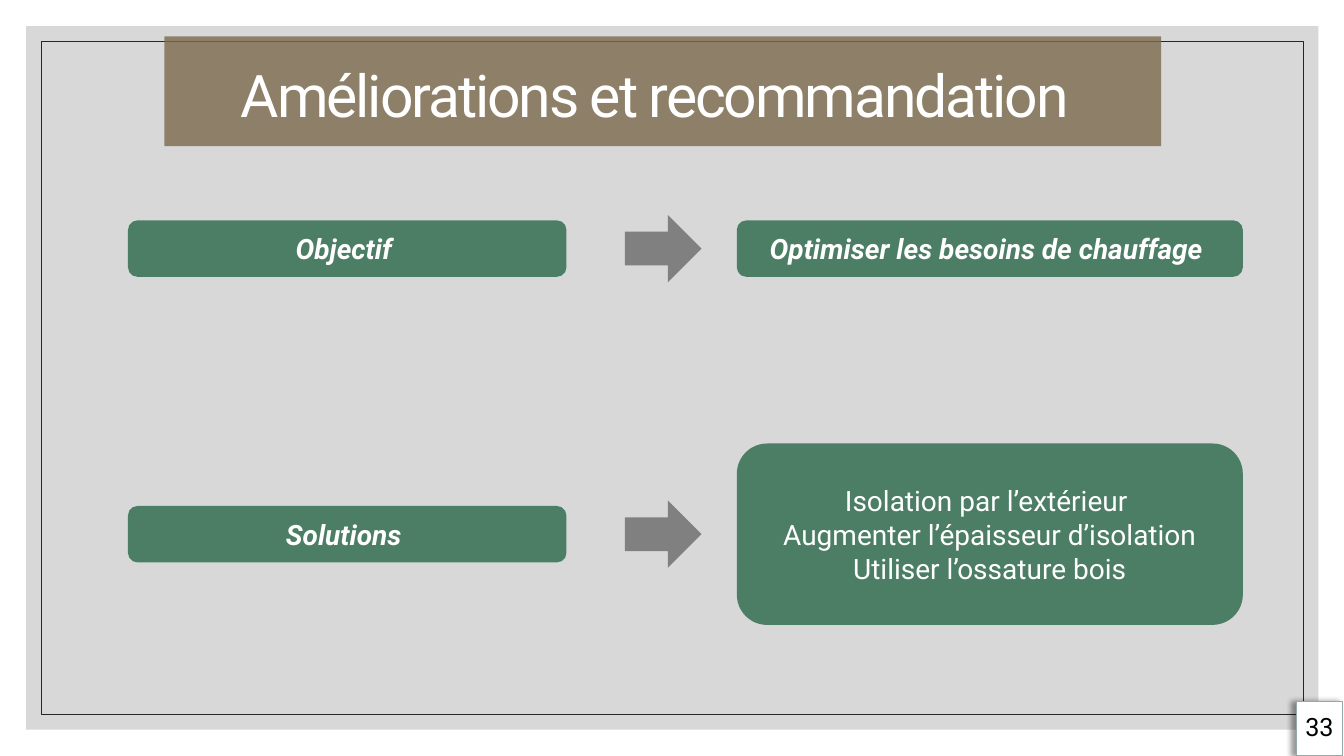
import pptx
import pptx.util
import pptx.dml.color
import pptx.enum.shapes
import pptx.enum.text
import pptx.oxml
import pptx.oxml.ns

RGBColor = pptx.dml.color.RGBColor
SHAPE = pptx.enum.shapes.MSO_SHAPE
ANCHOR = pptx.enum.text.MSO_ANCHOR
ALIGN = pptx.enum.text.PP_ALIGN
Pt = pptx.util.Pt

WHITE = RGBColor(0xFF, 0xFF, 0xFF)
BLACK = RGBColor(0x00, 0x00, 0x00)
PANEL_GREY = RGBColor(0xBF, 0xBF, 0xBF)
FRAME_GREY = RGBColor(0x26, 0x26, 0x26)
ARROW_GREY = RGBColor(0x80, 0x80, 0x80)
BROWN = RGBColor(0x7C, 0x6B, 0x4D)
GREEN = RGBColor(0x4C, 0x7E, 0x65)
BADGE_EDGE = RGBColor(0x96, 0xA9, 0xA9)

COLUMNS, ROWS = 80, 45


class Deck:
    """Holds the style and the current slide; lengths are grid columns and rows."""

    font_name = "Roboto"

    def __init__(self):
        self.presentation = pptx.Presentation()
        self.presentation.slide_width = pptx.util.Inches(13.33)
        self.presentation.slide_height = pptx.util.Inches(7.5)
        self.slide = self.presentation.slides.add_slide(
            self.presentation.slide_layouts[5])

    def box(self, left, top, width, height):
        column = self.presentation.slide_width / COLUMNS
        row = self.presentation.slide_height / ROWS
        return (round(left * column), round(top * row),
                round(width * column), round(height * row))

    def paint(self, shape, fill=None, opacity=100, line=None, weight=1):
        if fill is None:
            shape.fill.background()
        else:
            shape.fill.solid()
            shape.fill.fore_color.rgb = fill
            if opacity < 100:
                colour = shape._element.spPr.find(".//" + pptx.oxml.ns.qn("a:srgbClr"))
                colour.append(pptx.oxml.parse_xml(
                    f'<a:alpha {pptx.oxml.ns.nsdecls("a")} val="{opacity * 1000}"/>'))
        if line is None:
            shape.line.fill.background()
        else:
            shape.line.color.rgb = line
            shape.line.width = Pt(weight)

    def shape(self, kind, place, **paint):
        drawn = self.slide.shapes.add_shape(kind, *self.box(*place))
        drawn.shadow.inherit = False
        self.paint(drawn, **paint)
        return drawn

    def letter(self, shape, lines, size=20, color=WHITE, bold=False, italic=False,
               frame=None, spacing=None):
        text = shape.text_frame
        text.text = "\n".join(lines)
        frame_format = {"word_wrap": True, "vertical_anchor": ANCHOR.MIDDLE,
                        "auto_size": pptx.enum.text.MSO_AUTO_SIZE.NONE, **(frame or {})}
        for name, value in frame_format.items():
            setattr(text, name, value)
        font_format = {"name": self.font_name, "size": Pt(size),
                       "bold": bold, "italic": italic}
        for paragraph in text.paragraphs:
            for name, value in {"alignment": ALIGN.CENTER, **(spacing or {})}.items():
                setattr(paragraph, name, value)
            for run in paragraph.runs:
                for name, value in font_format.items():
                    setattr(run.font, name, value)
                run.font.color.rgb = color

    def title(self, wording, place):
        heading = self.slide.shapes.title
        heading.left, heading.top, heading.width, heading.height = self.box(*place)
        self.paint(heading, fill=BROWN, opacity=80)
        inch = pptx.util.Inches
        self.letter(heading, [wording], size=42, spacing={"line_spacing": 0.9},
                    frame={"vertical_anchor": ANCHOR.BOTTOM,
                           "margin_left": inch(0.31), "margin_top": inch(0.05),
                           "margin_right": inch(0.47), "margin_bottom": inch(0.16)})
        heading.text_frame.paragraphs[0].runs[0].font._element.set("spc", "-150")
        # Bring the title in front of the background panel
        self.slide.shapes._spTree.append(heading._element)

    def card(self, lines, left, middle, width, height, **style):
        place = (left, middle - height / 2, width, height)
        self.letter(self.shape(SHAPE.ROUNDED_RECTANGLE, place, fill=GREEN), lines, **style)

    def arrow(self, left, middle, width, height):
        self.shape(SHAPE.RIGHT_ARROW, (left, middle - height / 2, width, height),
                   fill=ARROW_GREY)

    def page_number(self, number, place):
        badge = self.shape(SHAPE.RECTANGLE, place, fill=WHITE, line=BADGE_EDGE)
        effects = badge._element.spPr.find(pptx.oxml.ns.qn("a:effectLst"))
        effects.append(pptx.oxml.parse_xml(
            f'<a:outerShdw {pptx.oxml.ns.nsdecls("a")} blurRad="{Pt(4)}" dist="{Pt(3)}" '
            f'dir="{180 * 60000}" algn="ctr" rotWithShape="0"><a:srgbClr val="{BLACK}">'
            '<a:alpha val="40000"/></a:srgbClr></a:outerShdw>'))
        self.letter(badge, [number], size=18, color=BLACK,
                    frame={"margin_left": 0, "margin_top": 0, "margin_right": 0,
                           "margin_bottom": pptx.util.Inches(0.05)})


def main():
    deck = Deck()

    # Background panel and frame
    deck.shape(SHAPE.RECTANGLE, (1.56, 1.56, 76.92, 41.88), fill=PANEL_GREY, opacity=60)
    deck.shape(SHAPE.RECTANGLE, (2.46, 2.46, 75.12, 40.08), line=FRAME_GREY, weight=0.5)

    deck.title("Améliorations et recommandation", (9.78, 2.16, 59.34, 6.54))

    # Each row leads from a topic to its answer
    emphasis = {"bold": True, "italic": True}
    topics = [
        ("Objectif ", 14.8, ["Optimiser les besoins de chauffage "], 3.36, emphasis),
        ("Solutions ", 31.8, ["Isolation par l’extérieur ",
                              "Augmenter l’épaisseur d’isolation",
                              "Utiliser l’ossature bois"], 10.8, {}),
    ]
    for topic, middle, answer, answer_height, answer_style in topics:
        deck.card([topic], 7.62, middle, 26.1, 3.36, **emphasis)
        deck.arrow(37.2, middle, 4.56, 4.02)
        deck.card(answer, 43.86, middle, 30.12, answer_height, **answer_style)

    deck.page_number("33", (77.16, 41.76, 2.76, 3.24))
    deck.presentation.save("out.pptx")


if __name__ == "__main__":
    main()
